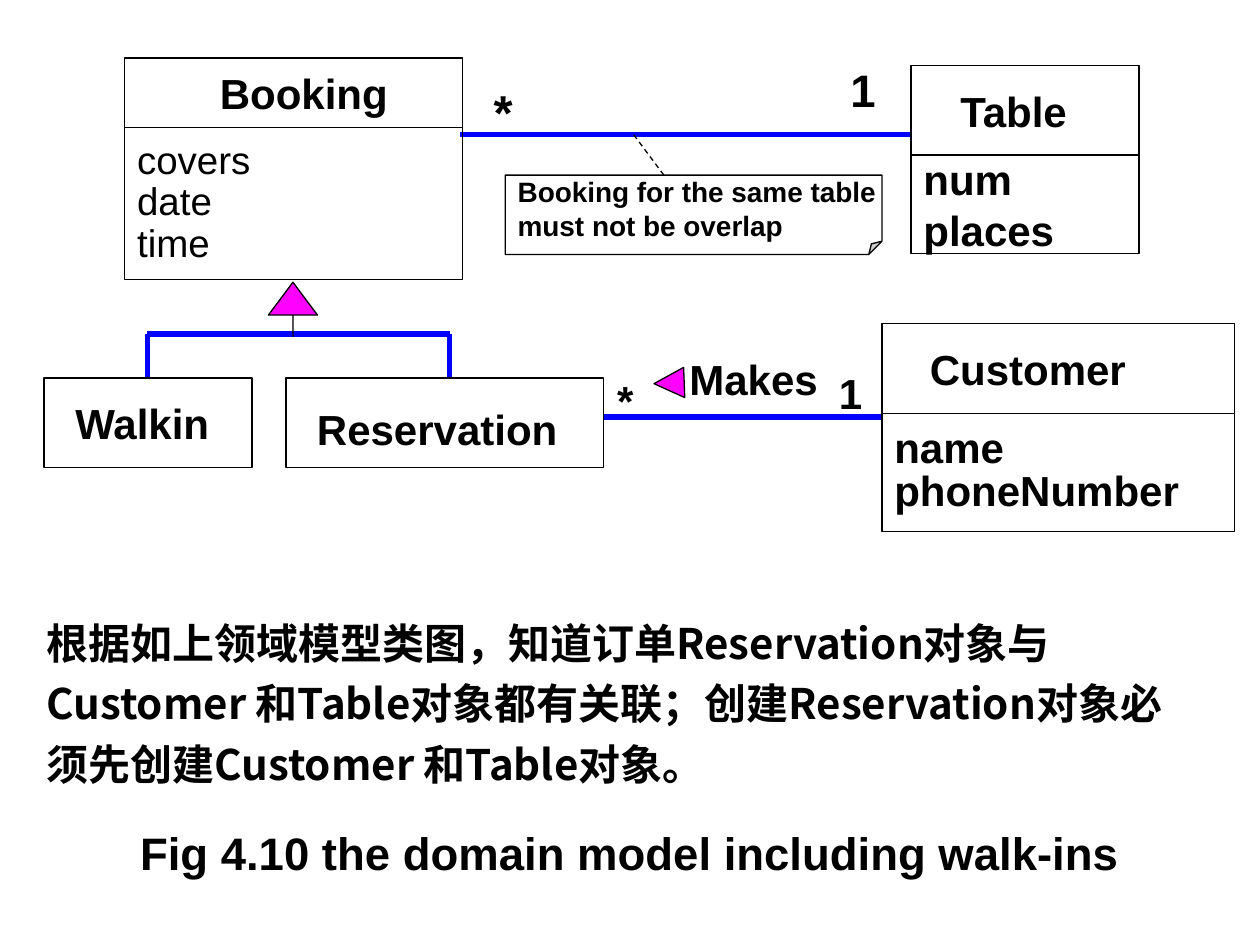
from lxml import etree
from pptx import Presentation
from pptx.dml.color import RGBColor
from pptx.enum.dml import MSO_LINE
from pptx.enum.shapes import MSO_CONNECTOR, MSO_SHAPE
from pptx.enum.text import MSO_ANCHOR, PP_ALIGN
from pptx.oxml.ns import qn
from pptx.util import Inches, Pt

LEFT, CENTER, RIGHT = PP_ALIGN.LEFT, PP_ALIGN.CENTER, PP_ALIGN.RIGHT
TOP, MIDDLE = MSO_ANCHOR.TOP, MSO_ANCHOR.MIDDLE
RECTANGLE, NOTE = MSO_SHAPE.RECTANGLE, MSO_SHAPE.FOLDED_CORNER
TRIANGLE, UP_ARROW = MSO_SHAPE.ISOSCELES_TRIANGLE, MSO_SHAPE.UP_ARROW
STRAIGHT, DASH = MSO_CONNECTOR.STRAIGHT, MSO_LINE.DASH

WIDTH, HEIGHT = Inches(10), Inches(7.5)
COLUMNS, ROWS = 100, 75
BLACK, WHITE, BLUE, MAGENTA = "000000", "FFFFFF", "0000FF", "FF00FF"
LATIN, CHINESE = "Arial", "Noto Sans CJK SC"
EXPLANATION = ("根据如上领域模型类图，知道订单Reservation对象与Customer 和Table对象都有关联；"
               "创建Reservation对象必须先创建Customer 和Table对象。")


def color(value):
    return RGBColor.from_string(value)


def x(columns):
    return round(WIDTH * columns / COLUMNS)


def y(rows):
    return round(HEIGHT * rows / ROWS)


def area(left, top, width, height):
    return x(left), y(top), x(width), y(height)


def write(shape, text, size=24, bold=True, font=LATIN, align=LEFT, spacing=1.0,
          anchor=MIDDLE, wrap=False, left=1, top=0.5, right=1):
    """Fill a shape with one paragraph per line of text; insets are in grid cells."""
    frame = shape.text_frame
    frame_format = {"word_wrap": wrap, "vertical_anchor": anchor,
                    "margin_left": x(left), "margin_right": x(right),
                    "margin_top": y(top), "margin_bottom": y(0.5)}
    for name, value in frame_format.items():
        setattr(frame, name, value)
    frame.text = text
    for paragraph in frame.paragraphs:
        paragraph.alignment = align
        paragraph.line_spacing = spacing
        for run in paragraph.runs:
            for name, value in {"size": Pt(size), "bold": bold, "name": font}.items():
                setattr(run.font, name, value)
            run.font.color.rgb = color(BLACK)
            if font == CHINESE:
                east_asian = etree.SubElement(run.font._element, qn("a:ea"))
                east_asian.set("typeface", font)


def add_label(slide, box, text, **text_format):
    label = slide.shapes.add_textbox(*area(*box))
    write(label, text, **{"anchor": TOP, "wrap": True, **text_format})


def add_outlined(slide, kind, box, fill=None):
    shape = slide.shapes.add_shape(kind, *area(*box))
    shape.shadow.inherit = False
    if fill:
        shape.fill.solid()
        shape.fill.fore_color.rgb = color(fill)
    else:
        shape.fill.background()
    shape.line.color.rgb = color(BLACK)
    shape.line.width = Pt(0.75)
    return shape


def add_box(slide, box, text, fill=None, kind=RECTANGLE, **text_format):
    write(add_outlined(slide, kind, box, fill), text, **text_format)


def add_class(slide, box, title_height, title, attributes, title_format,
              attribute_format, fill=None):
    """Stack a title compartment on an attribute compartment."""
    left, top, width, height = box
    add_box(slide, (left, top, width, title_height), title, fill, **title_format)
    add_box(slide, (left, top + title_height, width, height - title_height),
            "\n".join(attributes), fill, **attribute_format)


def add_line(slide, start, end, line_color=BLUE, width=3, dash=None):
    line = slide.shapes.add_connector(
        STRAIGHT, x(start[0]), y(start[1]), x(end[0]), y(end[1]))
    line.line.color.rgb = color(line_color)
    line.line.width = Pt(width)
    if dash:
        line.line.dash_style = dash
    etree.SubElement(line._element.spPr, qn("a:effectLst"))


def add_booking_and_table(slide):
    add_line(slide, (36.5, 10.7), (72.3, 10.7))
    add_label(slide, (66.5, 4.4, 3.1, 5.4), "1", size=26)
    add_label(slide, (38.2, 6, 3.1, 5.7), "*", size=28)
    add_class(slide, (9.9, 4.6, 26.8, 17.6), 5.5, "Booking",
              ("covers", "date", "time"), {"align": CENTER, "left": 2.6},
              {"size": 22, "bold": False, "spacing": 0.9})
    add_class(slide, (72.3, 5.2, 18.1, 14.9), 7.1, "Table", ("num", "places"),
              {"align": CENTER, "right": 2.8}, {})
    add_line(slide, (50.3, 10.7), (55, 17), BLACK, 0.75, DASH)
    add_box(slide, (40.1, 13.9, 29.9, 6.3),
            "Booking for the same table\nmust not be overlap", WHITE, NOTE, size=16)\
        


def add_booking_kinds(slide):
    bar, walkin, reservation = 26.5, 11.7, 35.7
    add_line(slide, (walkin, bar), (reservation, bar))
    for column in (walkin, reservation):
        add_line(slide, (column, bar), (column, 30.4))
    arrow = add_outlined(slide, UP_ARROW, (21.3, 22.4, 3.9, 4.3), MAGENTA)
    arrow.adjustments[0], arrow.adjustments[1] = 0, 0.67
    add_box(slide, (22.7, 30, 25.2, 7.1), "Reservation", WHITE,
            align=CENTER, top=1.5, right=2.2)
    add_box(slide, (3.5, 30, 16.5, 7.1), "Walkin", WHITE, align=CENTER, right=1.9)


def add_customer(slide):
    add_line(slide, (47.9, 33.1), (71.6, 33.1))
    add_label(slide, (52.7, 27.6, 14.2, 5), "Makes", align=RIGHT, right=2)
    direction = add_outlined(slide, TRIANGLE, (51.9, 29.2, 2.4, 2.4), MAGENTA)
    direction.rotation = 267.8
    add_label(slide, (65.6, 28.7, 3.1, 5), "1")
    add_label(slide, (48, 29.2, 3.1, 5), "*")
    add_class(slide, (70, 25.7, 28, 16.5), 7.1, "Customer", ("name", "phoneNumber"),
              {"left": 3.8}, {"spacing": 0.85}, WHITE)


def main():
    presentation = Presentation()
    presentation.slide_width, presentation.slide_height = WIDTH, HEIGHT
    slide = presentation.slides.add_slide(presentation.slide_layouts[6])
    add_booking_and_table(slide)
    add_booking_kinds(slide)
    add_customer(slide)
    add_label(slide, (2.7, 47.7, 91.4, 15.4), EXPLANATION, font=CHINESE, spacing=1.2)
    add_label(slide, (5, 65.8, 90, 5.1), "Fig 4.10 the domain model including walk-ins",
              size=26, align=CENTER, spacing=0.8)
    presentation.save("out.pptx")


if __name__ == "__main__":
    main()
